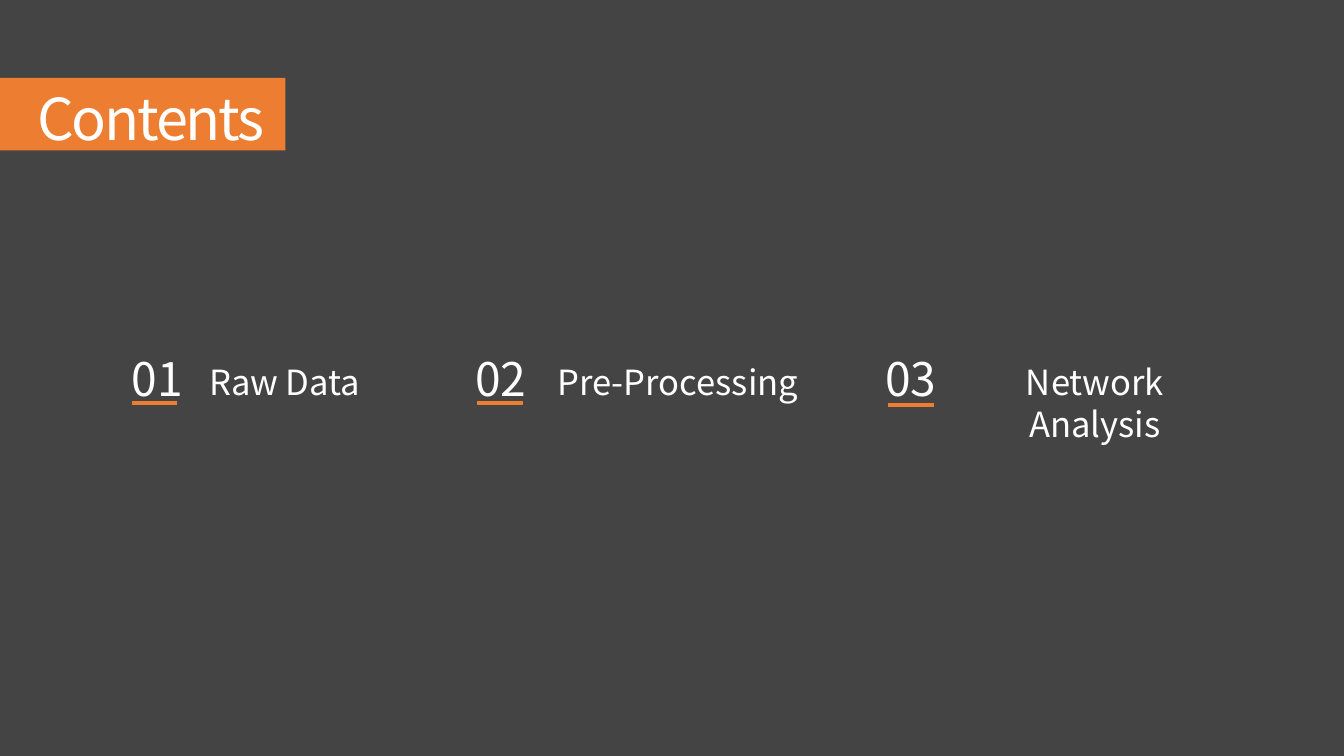
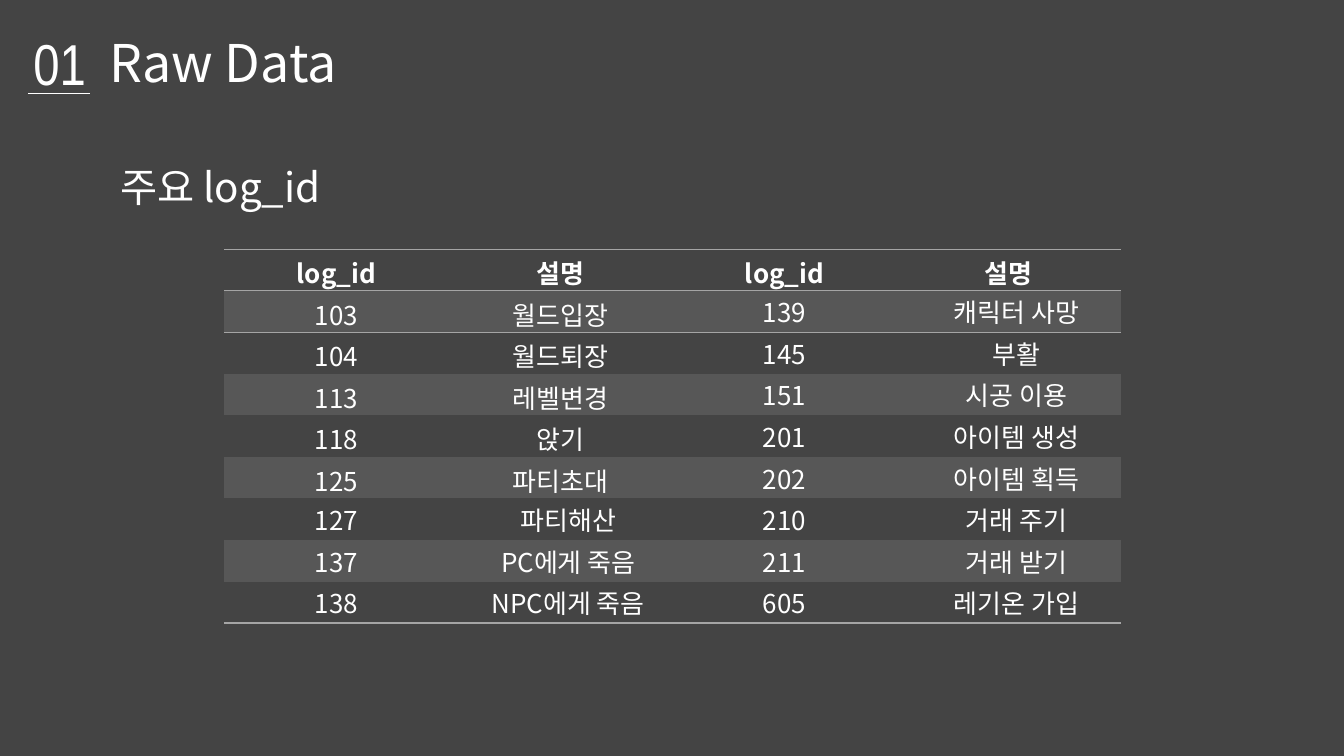
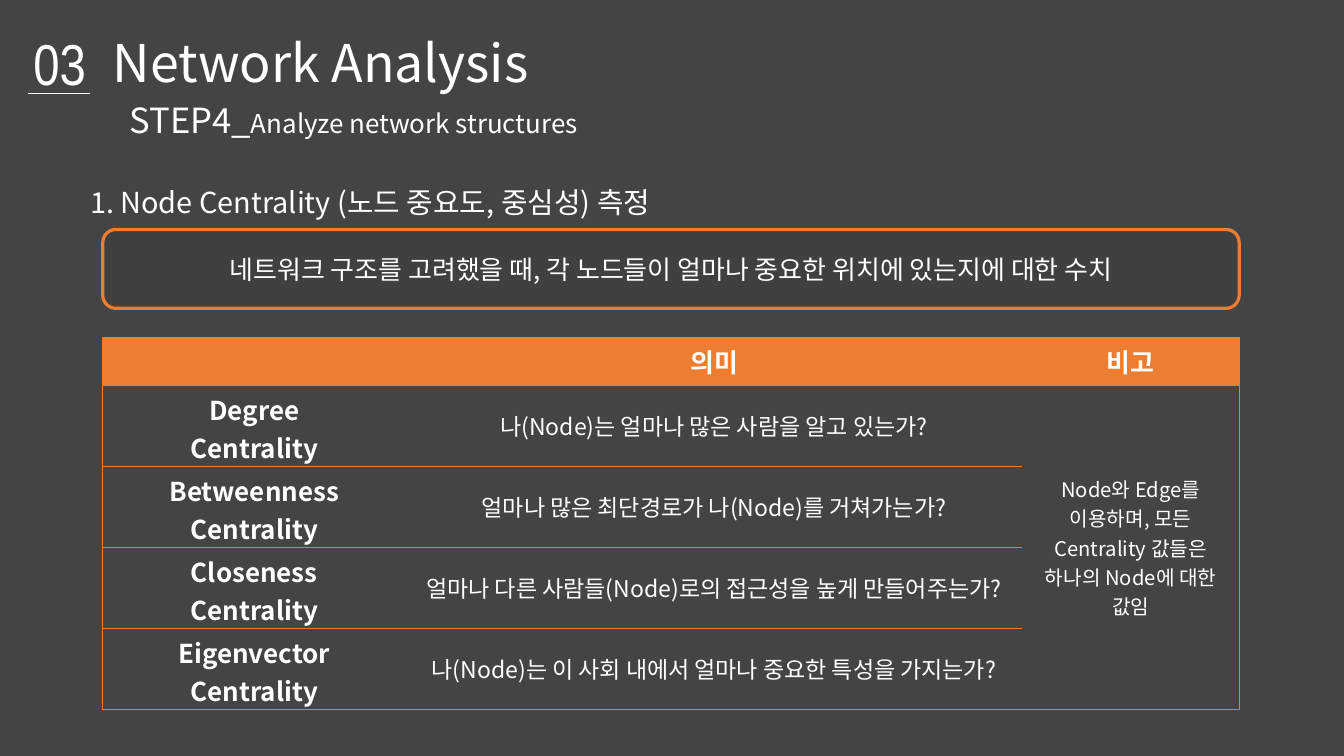
import pptx
import pptx.util
import pptx.dml.color
import pptx.enum.shapes
import pptx.enum.text
import pptx.oxml
import pptx.oxml.ns
import lxml.etree

Inches = pptx.util.Inches
Pt = pptx.util.Pt
RGB = pptx.dml.color.RGBColor.from_string
qn = pptx.oxml.ns.qn
SHAPE = pptx.enum.shapes.MSO_SHAPE
LEFT = pptx.enum.text.PP_ALIGN.LEFT
MID = pptx.enum.text.PP_ALIGN.CENTER
CENTER = pptx.enum.text.MSO_ANCHOR.MIDDLE
TOP = pptx.enum.text.MSO_ANCHOR.TOP

COLORS = {"back": "444444", "band": "575757", "box": "404040",
          "main": "ED7D31", "rule": "A5A5A5", "text": "FFFFFF"}
FONT = "Noto Sans CJK KR"
PLAIN = "{2D5ABB26-0587-4C30-8999-92F81FD0307C}"  # table style without grid


def write(frame, text, size, align=MID, bold=False, face=FONT, space=None):
    """Fill a frame, one paragraph a line, and return the last paragraph."""
    frame.word_wrap = True
    frame.text = text
    for par in frame.paragraphs:
        par.alignment = align
        par.line_spacing = space
        font = par.font
        font.name = face
        font.size = Pt(size)
        font.bold = bold
        font.color.rgb = RGB(COLORS["text"])
        east = lxml.etree.SubElement(font._element, qn("a:ea"))
        east.set("typeface", face)
    return par


def edge(cell, sides, color, width):
    """Draw borders on the sides named by letters, in the order L, R, T, B."""
    props = cell._tc.get_or_add_tcPr()
    for place, side in enumerate(sides):
        line = pptx.oxml.parse_xml(
            f'<a:ln{side} xmlns:a="http://schemas.openxmlformats.org/drawingml/2006/main"'
            f' w="{Pt(width)}"><a:solidFill><a:srgbClr val="{color}"/></a:solidFill></a:ln{side}>')
        props.insert(place, line)


deck = pptx.Presentation()
deck.slide_width = Inches(12.95)
deck.slide_height = Inches(7.28)
back = deck.slide_master.background.fill
back.solid()
back.fore_color.rgb = RGB(COLORS["back"])
blank = deck.slide_layouts[6]
index, data, study = [deck.slides.add_slide(blank) for _ in range(3)]
rules = []

# Contents
band = index.shapes.add_shape(SHAPE.RECTANGLE, 0, Inches(0.75), Inches(2.75), Inches(0.7))
band.shadow.inherit = False
band.fill.solid()
band.fill.fore_color.rgb = RGB(COLORS["main"])
band.line.fill.background()
title = index.shapes.add_textbox(Inches(0.23), Inches(0.75), Inches(2.45), Inches(0.77))
par = write(title.text_frame, "Contents", 40)
par.font._element.set("spc", "-150")

parts = [("01", "Raw Data", 1.15, 1.27, 3.88, 1.41, 2.67),
         ("02", "Pre-Processing", 4.46, 4.6, 3.88, 5.12, 2.82),
         ("03", "Network Analysis", 8.41, 8.56, 3.9, 9.14, 2.82)]
for num, name, left, start, y, side, width in parts:
    box = index.shapes.add_textbox(Inches(left), Inches(3.32), Inches(0.73), Inches(0.64))
    write(box.text_frame, num, 32)
    box = index.shapes.add_textbox(Inches(side), Inches(3.43), Inches(width), Inches(0.5))
    write(box.text_frame, name, 24)
    rules.append((index, start, start + 0.44, y, "main", 2.25))

# Section headings
heads = [(data, "01", "Raw Data", 0, 4.3, MID),
         (study, "03", "Network Analysis", 0.99, 6.67, LEFT)]
for slide, num, name, left, width, align in heads:
    box = slide.shapes.add_textbox(Inches(left), Inches(0.25), Inches(width), Inches(0.71))
    write(box.text_frame, name, 36, align)
    box = slide.shapes.add_textbox(0, Inches(0.22), Inches(1.15), Inches(0.77))
    write(box.text_frame, num, 40, face="Arial Narrow")
    rules.append((slide, 0.27, 0.87, 0.9, "text", 0.75))

for slide, start, end, y, color, weight in rules:
    rule = slide.shapes.add_connector(pptx.enum.shapes.MSO_CONNECTOR.STRAIGHT,
                                      Inches(start), Inches(y), Inches(end), Inches(y))
    rule.line.color.rgb = RGB(COLORS[color])
    rule.line.width = Pt(weight)
    lxml.etree.SubElement(rule._element.spPr, qn("a:effectLst"))

# Raw data
box = data.shapes.add_textbox(Inches(1.06), Inches(1.28), Inches(6.47), Inches(0.74))
write(box.text_frame, "주요 log_id", 28, LEFT, space=1.5)
logs = [("log_id", "설명", "log_id", "설명"),
        ("103", "월드입장", "139", "캐릭터 사망"),
        ("104", "월드퇴장", "145", "부활"),
        ("113", "레벨변경", "151", "시공 이용"),
        ("118", "앉기", "201", "아이템 생성"),
        ("125", "파티초대", "202", "아이템 획득"),
        ("127", "파티해산", "210", "거래 주기"),
        ("137", "PC에게 죽음", "211", "거래 받기"),
        ("138", "NPC에게 죽음", "605", "레기온 가입")]
log_grid = data.shapes.add_table(len(logs), 4, Inches(2.16), Inches(2.4),
                                 Inches(8.64), Inches(3.6)).table

# Network analysis
box = study.shapes.add_textbox(Inches(1.15), Inches(0.9), Inches(6.67), Inches(0.5))
par = write(box.text_frame, "STEP4_", 24, LEFT)
run = par.add_run()
run.text = "Analyze network structures"
run.font.size = Pt(18)
box = study.shapes.add_textbox(Inches(0.77), Inches(1.56), Inches(12.17), Inches(0.56))
write(box.text_frame, "1. Node Centrality (노드 중요도, 중심성) 측정", 20, LEFT, space=1.5)

note = study.shapes.add_shape(SHAPE.ROUNDED_RECTANGLE, Inches(0.99), Inches(2.21),
                              Inches(10.95), Inches(0.76))
note.shadow.inherit = False
note.fill.solid()
note.fill.fore_color.rgb = RGB(COLORS["box"])
note.line.color.rgb = RGB(COLORS["main"])
note.line.width = Pt(2.25)
note.text_frame.vertical_anchor = CENTER
write(note.text_frame,
      "네트워크 구조를 고려했을 때, 각 노드들이 얼마나 중요한 위치에 있는지에 대한 수치", 18)

terms = [("", "의미", "비고"),
         ("Degree\nCentrality", "나(Node)는 얼마나 많은 사람을 알고 있는가?",
          "Node와 Edge를 이용하며, 모든 Centrality 값들은 하나의 Node에 대한 값임"),
         ("Betweenness\nCentrality", "얼마나 많은 최단경로가 나(Node)를 거쳐가는가?", ""),
         ("Closeness\nCentrality", "얼마나 다른 사람들(Node)로의 접근성을 높게 만들어주는가?", ""),
         ("Eigenvector\nCentrality", "나(Node)는 이 사회 내에서 얼마나 중요한 특성을 가지는가?", "")]
term_grid = study.shapes.add_table(len(terms), 3, Inches(0.99), Inches(3.25),
                                   Inches(10.95), Inches(3.58)).table
for col, width in zip(term_grid.columns, (2.92, 5.94, 2.09)):
    col.width = Inches(width)

for grid, first, rest in ((log_grid, 0.4, 0.4), (term_grid, 0.46, 0.78)):
    grid.first_row = grid.horz_banding = False
    grid._tbl.tblPr.find(qn("a:tableStyleId")).text = PLAIN
    for r, row in enumerate(grid.rows):
        row.height = Inches(rest if r else first)

for r, row in enumerate(logs):
    for c, text in enumerate(row):
        cell = log_grid.cell(r, c)
        write(cell.text_frame, text, 18, bold=r == 0)
        cell.margin_bottom = 0
        if r == 0 or (c < 2 and r < 6):
            cell.vertical_anchor = TOP
            cell.margin_top = Inches(0.04)
        else:
            cell.vertical_anchor = CENTER
            cell.margin_top = cell.margin_right = 0
            cell.margin_left = Inches(0.15 * (c % 2))
        if r % 2:
            cell.fill.solid()
            cell.fill.fore_color.rgb = RGB(COLORS["band"])
        else:
            cell.fill.background()
        edge(cell, {0: "TB", 1: "T", 8: "B"}.get(r, ""), COLORS["rule"], 1)

term_grid.cell(1, 2).merge(term_grid.cell(4, 2))
for r, row in enumerate(terms):
    for c, text in enumerate(row):
        cell = term_grid.cell(r, c)
        cell.vertical_anchor = CENTER
        if text:
            head = r == 0 or c == 0
            write(cell.text_frame, text, 18 if head else (16, 14)[c - 1], bold=head)
        if c == 0:
            cell.margin_bottom = 0
        if r == 0:
            cell.fill.solid()
            cell.fill.fore_color.rgb = RGB(COLORS["main"])
        else:
            cell.fill.background()
        edge(cell, ("L", "", "R")[c] + "TB", COLORS["main"], 0.5)

deck.save("out.pptx")
